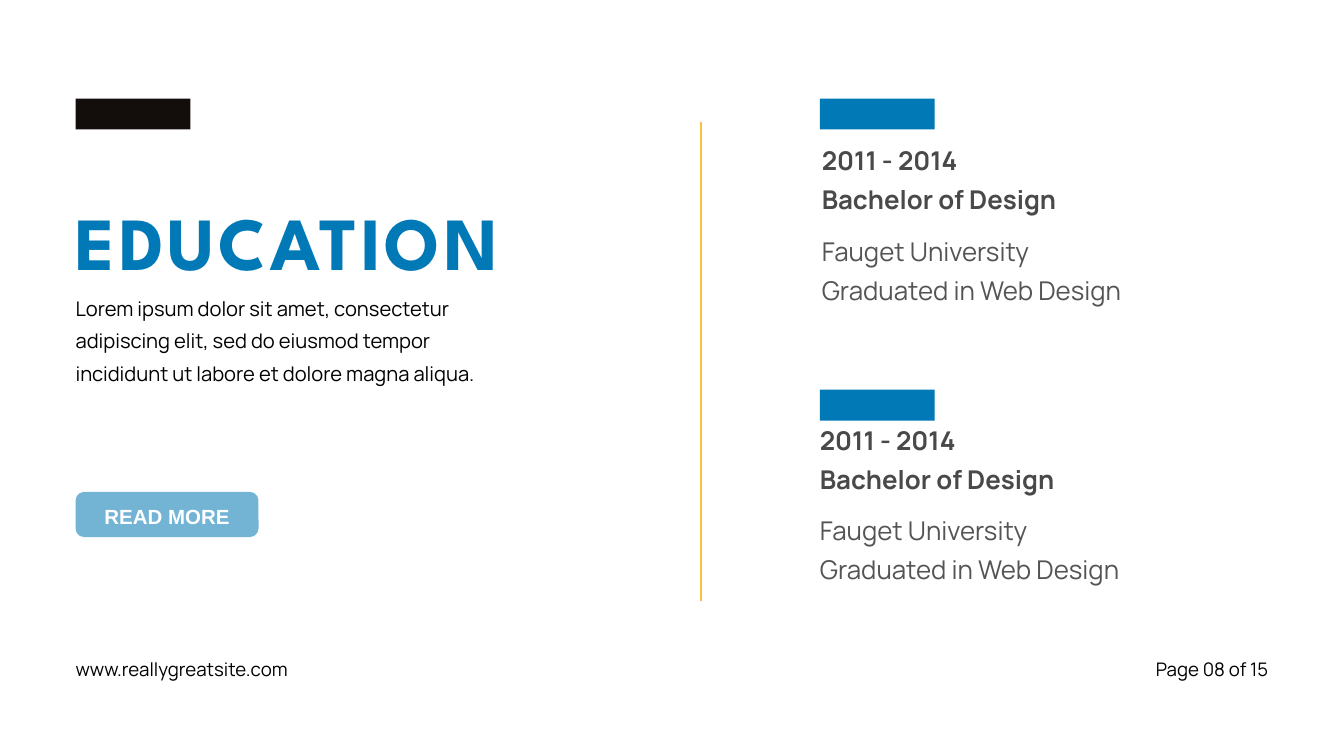
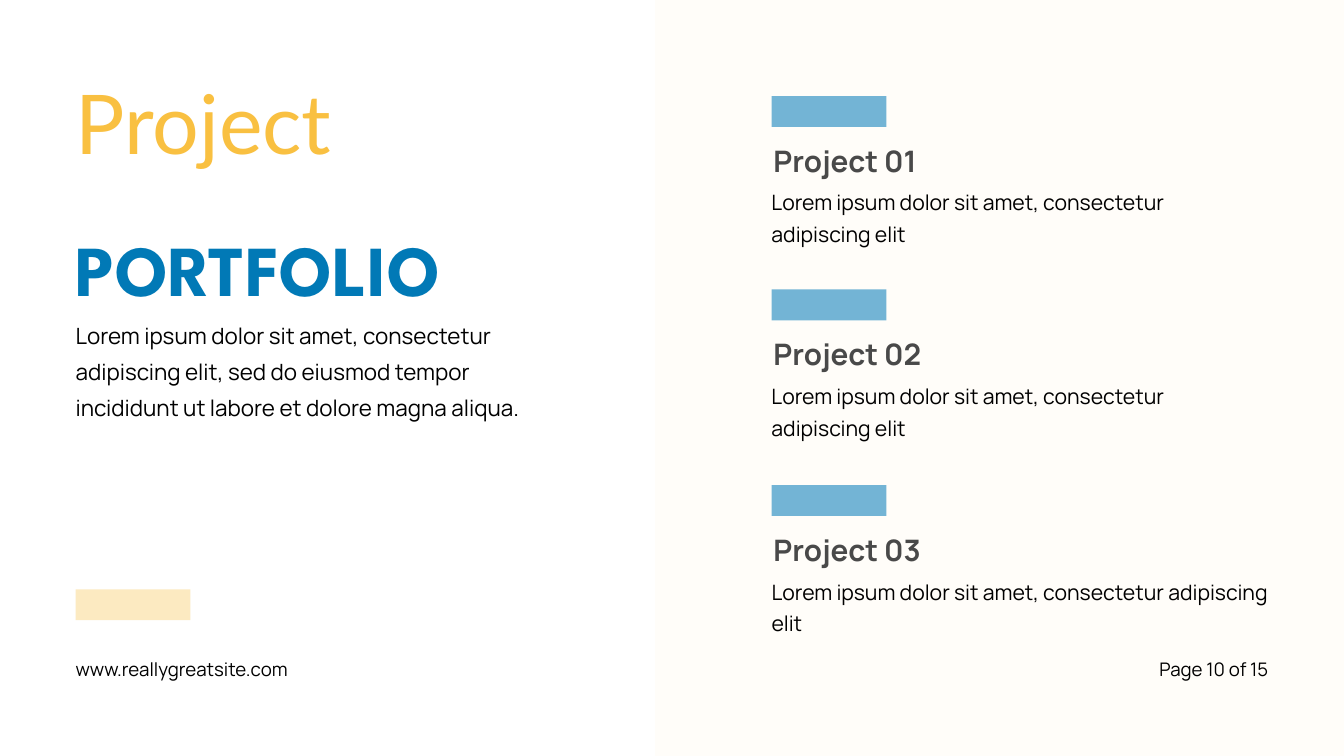
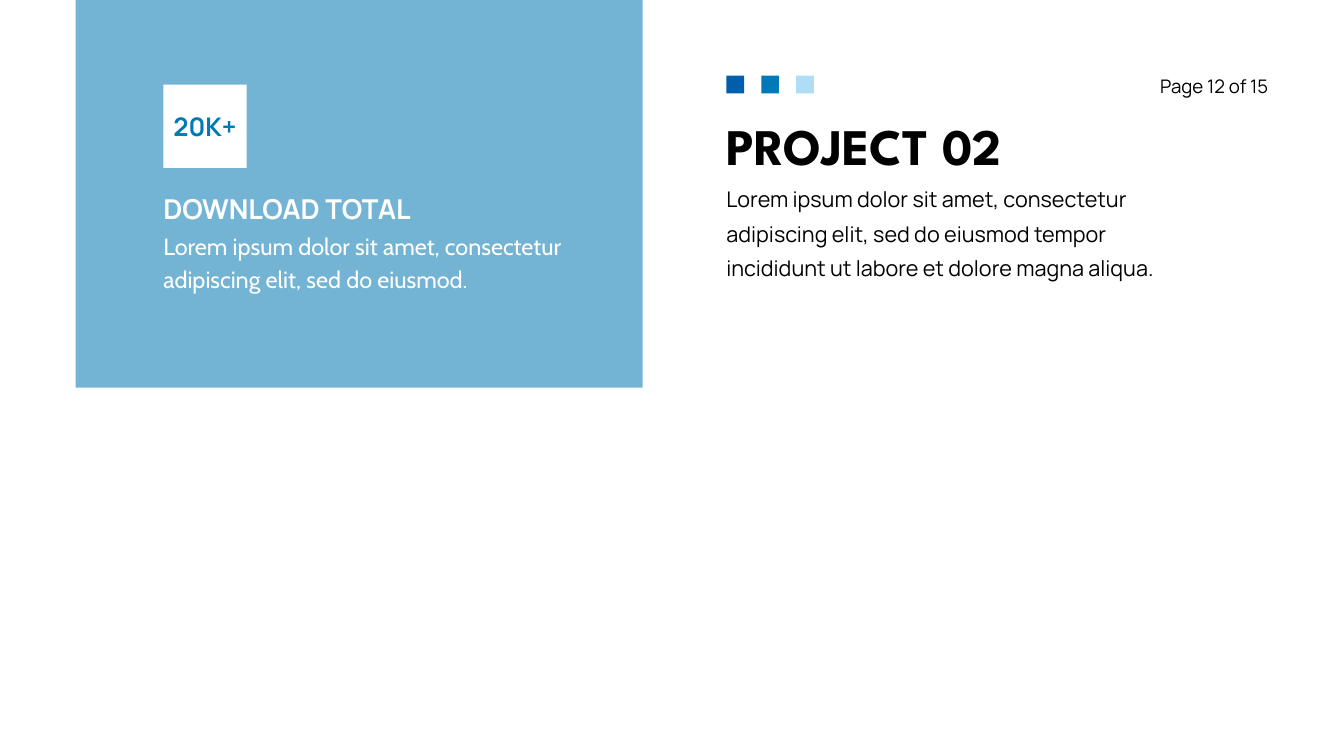
from lxml import etree
from pptx import Presentation
from pptx.dml.color import RGBColor
from pptx.enum.shapes import MSO_CONNECTOR, MSO_SHAPE
from pptx.enum.text import MSO_ANCHOR, MSO_AUTO_SIZE, PP_ALIGN
from pptx.oxml.ns import qn
from pptx.util import Pt

RECTANGLE, ROUNDED = MSO_SHAPE.RECTANGLE, MSO_SHAPE.ROUNDED_RECTANGLE
STRAIGHT = MSO_CONNECTOR.STRAIGHT
LEFT, CENTER, RIGHT = PP_ALIGN.LEFT, PP_ALIGN.CENTER, PP_ALIGN.RIGHT
TOP, MIDDLE = MSO_ANCHOR.TOP, MSO_ANCHOR.MIDDLE
NO_AUTOFIT = MSO_AUTO_SIZE.NONE

BLACK = RGBColor(0x00, 0x00, 0x00)
WHITE = RGBColor(0xFF, 0xFF, 0xFF)
INK = RGBColor(0x13, 0x0E, 0x0C)
DARK_GRAY = RGBColor(0x49, 0x49, 0x49)
GRAY = RGBColor(0x54, 0x54, 0x54)
NAVY = RGBColor(0x00, 0x5E, 0xAA)
BLUE = RGBColor(0x01, 0x79, 0xB6)
SKY = RGBColor(0x73, 0xB4, 0xD5)
PALE_BLUE = RGBColor(0xAE, 0xDD, 0xF5)
AMBER = RGBColor(0xF9, 0xC0, 0x41)
PALE_AMBER = RGBColor(0xFC, 0xEA, 0xC1)
CREAM = RGBColor(0xFF, 0xF5, 0xE1)

BODY_FONT, TITLE_FONT = "Manrope", "League Spartan"
SLIDE_WIDTH, SLIDE_HEIGHT = 1440, 810
MARGIN = 81
MARKER_WIDTH, MARKER_HEIGHT = 123, 33
FOOTER_TOP = 700.6
PAGE_WIDTH = 156
SHORT_LOREM = "Lorem ipsum dolor sit amet, consectetur adipiscing elit"
LONG_LOREM = (SHORT_LOREM + ", sed do eiusmod tempor incididunt ut labore "
              "et dolore magna aliqua.")


def add_block(slide, bounds, color, outline=RECTANGLE):
    block = slide.shapes.add_shape(outline, *[Pt(length) for length in bounds])
    block.shadow.inherit = False
    block.fill.solid()
    block.fill.fore_color.rgb = color
    block.line.fill.background()
    return block


def write(slide, bounds, text, size, leading, color, font=BODY_FONT, bold=False,
          align=LEFT, anchor=TOP, tracking=0, holder=None):
    if holder is None:
        holder = slide.shapes.add_textbox(0, 0, 0, 0)
    holder.left, holder.top, holder.width, holder.height = [Pt(length) for length in bounds]
    frame = holder.text_frame
    frame.text = text
    frame.word_wrap = True
    frame.auto_size = NO_AUTOFIT
    frame.vertical_anchor = anchor
    frame.margin_left = frame.margin_top = frame.margin_right = frame.margin_bottom = 0
    for paragraph in frame.paragraphs:
        if holder.is_placeholder:
            properties = paragraph._p.get_or_add_pPr()
            properties.set("marL", "0")
            properties.set("indent", "0")
            etree.SubElement(properties, qn("a:buNone"))
        paragraph.alignment = align
        paragraph.line_spacing = Pt(leading)
        paragraph.space_before = Pt(0)
        for run in paragraph.runs:
            run.font.name = font
            run.font.size = Pt(size)
            run.font.bold = bold
            run.font.color.rgb = color
            if tracking:
                run._r.get_or_add_rPr().set("spc", str(round(tracking * 100)))


presentation = Presentation()
presentation.slide_width = Pt(SLIDE_WIDTH)
presentation.slide_height = Pt(SLIDE_HEIGHT)
title_and_body = presentation.slide_layouts[1]
education, portfolio, project = [
    presentation.slides.add_slide(title_and_body) for _ in range(3)]

# title: bounds, text, size, leading, color, tracking; body: bounds, size, leading
headings = [
    (education, (MARGIN, 213, 610, 94), "EDUCATION", 80.3, 93.2, BLUE, 3.8,
     (MARGIN, 309, 459, 138), 21.6, 34.6),
    (portfolio, (MARGIN, 256.3, 588, 80), "PORTFOLIO", 76.8, 76.8, BLUE, 0,
     (MARGIN, 335.5, 507, 153), 24, 38.4),
    (project, (778.3, 130.3, 415, 60), "PROJECT 02", 54.9, 58.2, BLACK, 0,
     (778.3, 190, 488, 146), 23.1, 37),
]
for (slide, title_bounds, title, title_size, title_leading, title_color, tracking,
     body_bounds, body_size, body_leading) in headings:
    write(slide, title_bounds, title, title_size, title_leading, title_color,
          TITLE_FONT, True, tracking=tracking, holder=slide.shapes.title)
    write(slide, body_bounds, LONG_LOREM, body_size, body_leading, BLACK,
          holder=slide.placeholders[1])

for slide, marker_top, marker_color in [(education, 105.8, INK),
                                        (portfolio, 631.5, PALE_AMBER)]:
    add_block(slide, (MARGIN, marker_top, MARKER_WIDTH, MARKER_HEIGHT), marker_color)
    write(slide, (MARGIN, FOOTER_TOP, 321, 28), "www.reallygreatsite.com", 20, 28, BLACK)

for left, marker_top, degree_top, school_top in [(880.5, 105.8, 146.9, 244.1),
                                                 (878.4, 417.6, 446.4, 542.9)]:
    add_block(education, (878.4, marker_top, MARKER_WIDTH, MARKER_HEIGHT), BLUE)
    write(education, (left, degree_top, 303, 83), "2011 - 2014\nBachelor of Design",
          27.7, 41.6, DARK_GRAY, bold=True)
    write(education, (left, school_top, 432, 83),
          "Fauget University\nGraduated in Web Design", 27.7, 41.6, GRAY)

divider = education.shapes.add_connector(STRAIGHT, Pt(751), Pt(131), Pt(751), Pt(643.5))
divider.line.color.rgb = AMBER
divider.line.width = Pt(1.5)
etree.SubElement(divider._element.spPr, qn("a:effectLst"))

button_bounds = (MARGIN, 527, 196, 48.5)
button = add_block(education, button_bounds, SKY, ROUNDED)
button.adjustments[0] = 0.19
write(education, button_bounds, "READ MORE", 21.9, 30.6, WHITE, "Arial", True,
      CENTER, MIDDLE, holder=button)

panel = add_block(portfolio, (702, 0, SLIDE_WIDTH - 702, SLIDE_HEIGHT), CREAM)
panel_color = panel._element.spPr.find(".//" + qn("a:srgbClr"))
etree.SubElement(panel_color, qn("a:alpha"), val="18000")
write(portfolio, (MARGIN, 90, 449, 96.5), "Project", 88.3, 93.6, AMBER, "Lato")

for number, (top, summary_width) in enumerate([(103, 487), (310.2, 510), (519.9, 533)], 1):
    add_block(portfolio, (826.6, top, MARKER_WIDTH, MARKER_HEIGHT), SKY)
    write(portfolio, (828.7, top + 40.3, 303, 47), f"Project {number:02}",
          31.7, 47.6, DARK_GRAY, bold=True)
    write(portfolio, (826.6, top + 93.4, summary_width, 68), SHORT_LOREM, 22.7, 34.1, BLACK)

for position, swatch_color in enumerate([NAVY, BLUE, PALE_BLUE]):
    add_block(project, (778.3 + position * 37.4, 81, 19, 19), swatch_color)

add_block(project, (MARGIN, 0, 607.5, 415.5), SKY)
badge_bounds = (175, 90.7, 89.3, 89.3)
badge = add_block(project, badge_bounds, WHITE)
write(project, badge_bounds, "20K+", 27.4, 32.9, BLUE, bold=True,
      align=CENTER, anchor=MIDDLE, holder=badge)
write(project, (175, 206, 346, 37), "DOWNLOAD TOTAL", 29.3, 35.2, WHITE, bold=True)
write(project, (175, 244, 435, 68), SHORT_LOREM + ", sed do eiusmod.",
      25.1, 35.2, WHITE, "Cabin")

for slide, page, page_top in [(education, "08", FOOTER_TOP),
                              (portfolio, "10", FOOTER_TOP),
                              (project, "12", 76.3)]:
    write(slide, (SLIDE_WIDTH - MARGIN - PAGE_WIDTH, page_top, PAGE_WIDTH, 28),
          f"Page {page} of 15", 20, 28, BLACK, align=RIGHT)

presentation.save("out.pptx")
